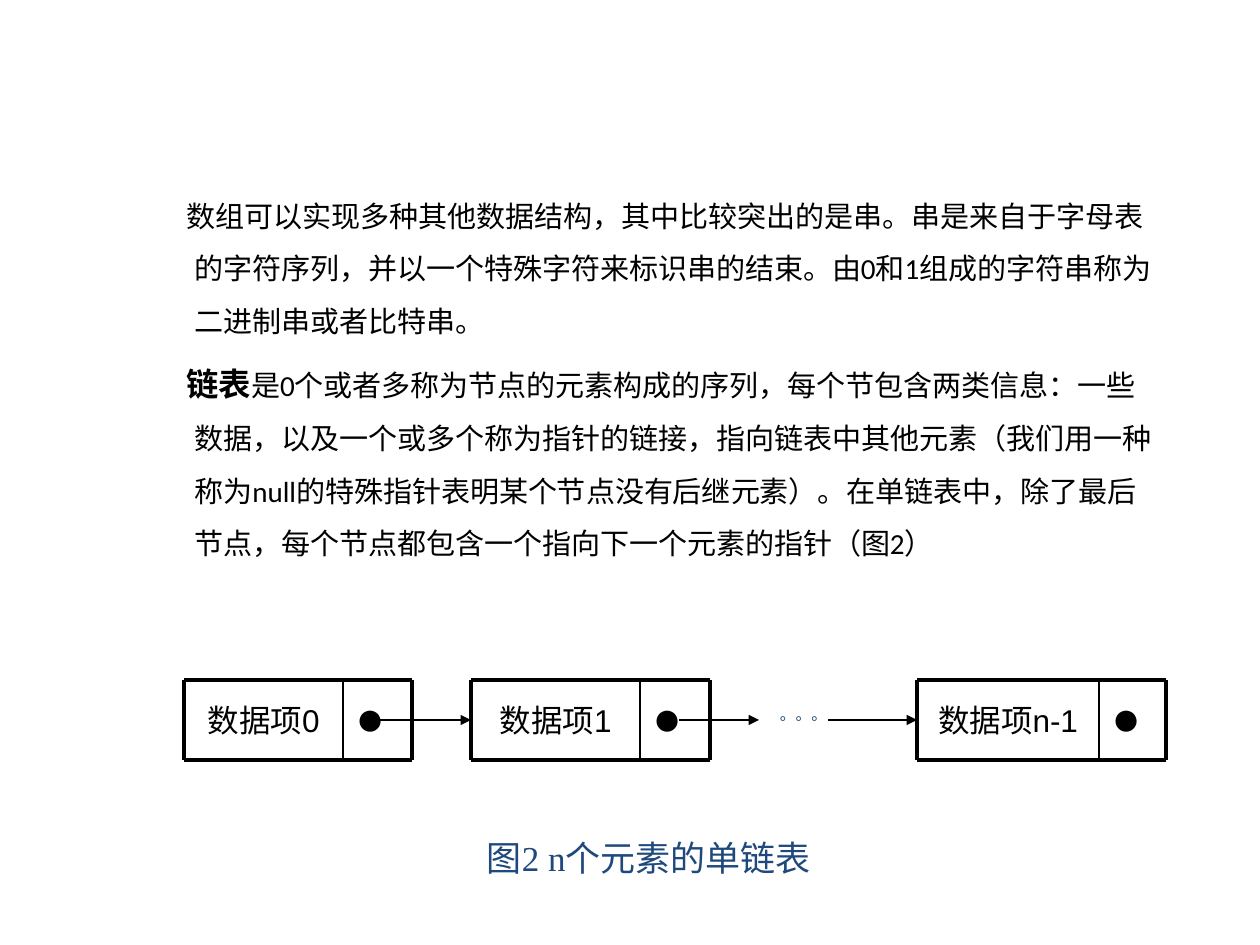
import dataclasses

import pptx
import pptx.dml.color
import pptx.enum.shapes
import pptx.enum.text
import pptx.oxml.ns
import pptx.util
from lxml import etree

EMU_PER_PX = 914400 / 126
ALIGN = pptx.enum.text.PP_ALIGN
ANCHOR = pptx.enum.text.MSO_ANCHOR


@dataclasses.dataclass(frozen=True)
class Theme:
    """Colours, fonts, type sizes and line widths of the slide."""
    ink: str = "000000"
    accent: str = "1F497D"
    body_font: str = "Calibri"
    label_font: str = "Arial"
    caption_font: str = "Times New Roman"
    body_size: float = 16.6
    term_size: float = 18.5
    label_size: float = 18
    pointer_size: float = 28
    caption_size: float = 20
    ellipsis_size: float = 9
    frame_width: float = 2.25
    divider_width: float = 1
    arrow_width: float = 0.75


THEME = Theme()


def px(length):
    """Turn a length in px into EMU."""
    return pptx.util.Emu(round(length * EMU_PER_PX))


def add_run(paragraph, text, *, size, font, color=THEME.ink, bold=False):
    """Add a formatted run to a paragraph."""
    run = paragraph.add_run()
    run.text = text
    run.font.size = pptx.util.Pt(size)
    run.font.name = font
    run.font.bold = bold
    run.font.color.rgb = pptx.dml.color.RGBColor.from_string(color)


def add_frame(slide, box):
    """Add a wrapping text box and return its text frame."""
    text_frame = slide.shapes.add_textbox(*map(px, box)).text_frame
    text_frame.word_wrap = True
    return text_frame


def add_text(slide, box, text, *, align=ALIGN.CENTER, anchor=ANCHOR.TOP, **run_format):
    """Add a text box holding one formatted line."""
    text_frame = add_frame(slide, box)
    text_frame.vertical_anchor = anchor
    paragraph = text_frame.paragraphs[0]
    paragraph.alignment = align
    add_run(paragraph, text, **run_format)


def add_line(slide, start, end, *, width, arrow=False):
    """Add a straight line, with an arrowhead at its end if asked."""
    connector = slide.shapes.add_connector(
        pptx.enum.shapes.MSO_CONNECTOR.STRAIGHT, *map(px, (*start, *end)))
    connector.line.width = pptx.util.Pt(width)
    connector.line.color.rgb = pptx.dml.color.RGBColor.from_string(THEME.ink)
    if arrow:
        etree.SubElement(connector.line._get_or_add_ln(),
                         pptx.oxml.ns.qn("a:tailEnd"), type="triangle")
    etree.SubElement(connector._element.spPr, pptx.oxml.ns.qn("a:effectLst"))


def add_body(slide, box):
    """Add the two hanging paragraphs on arrays and linked lists."""
    regular = dict(size=THEME.body_size, font=THEME.body_font)
    term = dict(size=THEME.term_size, font=THEME.body_font, bold=True)
    paragraphs = [
        [("数组可以实现多种其他数据结构，其中比较突出的是串。串是来自于字母表的字符序列，"
          "并以一个特殊字符来标识串的结束。由0和1组成的字符串称为二进制串或者比特串。", regular)],
        [("链表", term),
         ("是0个或者多称为节点的元素构成的序列，每个节包含两类信息：一些数据，"
          "以及一个或多个称为指针的链接，指向链表中其他元素（我们用一种称为null的特殊指针"
          "表明某个节点没有后继元素）。在单链表中，除了最后节点，"
          "每个节点都包含一个指向下一个元素的指针（图2）", regular)],
    ]
    text_frame = add_frame(slide, box)
    for index, runs in enumerate(paragraphs):
        paragraph = text_frame.add_paragraph() if index else text_frame.paragraphs[0]
        paragraph.line_spacing = 1.5
        if index:
            paragraph.space_before = pptx.util.Pt(4)
        properties = paragraph._p.get_or_add_pPr()
        properties.set("marL", str(px(48)))
        properties.set("indent", str(px(-8)))
        for text, run_format in runs:
            add_run(paragraph, text, **run_format)


def add_node(slide, box, label, data_width):
    """Add a list node: a data cell and a pointer cell."""
    left, top, width, height = box
    right, bottom, divider = left + width, top + height, left + data_width
    add_text(slide, (divider, top, width - data_width, height), "●", align=ALIGN.LEFT,
             size=THEME.pointer_size, font=THEME.label_font)
    add_text(slide, (left, top, data_width, height), label, anchor=ANCHOR.MIDDLE,
             size=THEME.label_size, font=THEME.label_font)
    for y in (top, bottom):
        add_line(slide, (left, y), (right, y), width=THEME.frame_width)
    for x, line_width in ((left, THEME.frame_width), (divider, THEME.divider_width),
                          (right, THEME.frame_width)):
        add_line(slide, (x, top), (x, bottom), width=line_width)


def add_linked_list(slide, box):
    """Add the chain of nodes, its arrows, the ellipsis and the caption."""
    left, top, width, height = box
    node_height = 80
    nodes = [("数据项0", 0, 228, 159), ("数据项1", 287, 239, 169),
             ("数据项n-1", 733, 249, 182)]
    for label, offset, node_width, data_width in nodes:
        add_node(slide, (left + offset, top, node_width, node_height), label, data_width)
    middle = top + node_height // 2
    for start, end in ((188, 287), (495, 575), (644, 733)):
        add_line(slide, (left + start, middle), (left + end, middle),
                 width=THEME.arrow_width, arrow=True)
    accent = dict(font=THEME.caption_font, color=THEME.accent)
    add_text(slide, (left + 575, middle - 21, 89, 32), "。。。",
             size=THEME.ellipsis_size, **accent)
    add_text(slide, (left + 118, top + height - 54, 694, 54), "图2 n个元素的单链表",
             size=THEME.caption_size, **accent)


def main():
    """Build and save the slide."""
    presentation = pptx.Presentation()
    presentation.slide_width, presentation.slide_height = px(1260), px(945)
    slide = presentation.slides.add_slide(presentation.slide_layouts[6])
    add_body(slide, (134, 175, 1042, 417))
    add_linked_list(slide, (184, 680, 982, 204))
    presentation.save("out.pptx")


if __name__ == "__main__":
    main()
